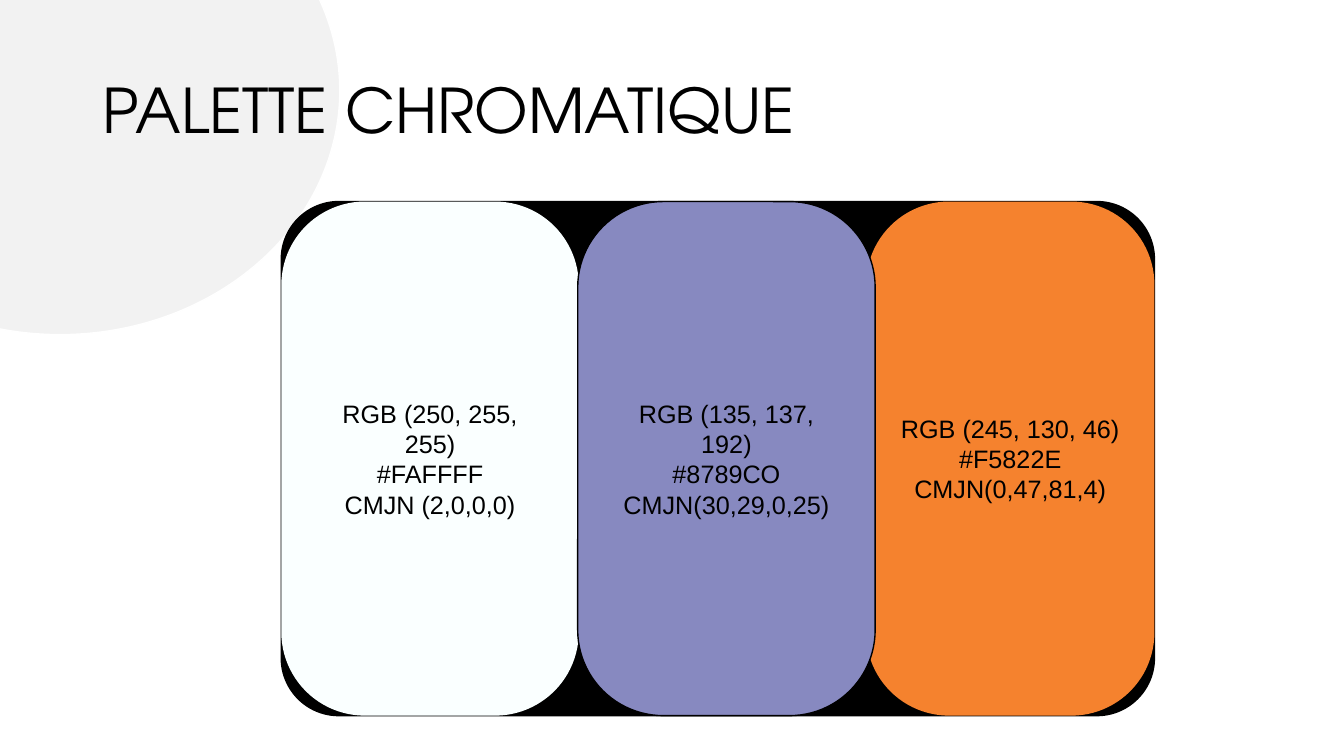
from pptx import Presentation
from pptx.dml.color import RGBColor
from pptx.enum.shapes import MSO_SHAPE
from pptx.enum.text import MSO_ANCHOR, PP_ALIGN
from pptx.util import Inches, Pt

ELLIPSE = MSO_SHAPE.OVAL
ROUNDED = MSO_SHAPE.ROUNDED_RECTANGLE
MIDDLE = MSO_ANCHOR.MIDDLE
CENTER = PP_ALIGN.CENTER

BLACK = "000000"
WHITE = "FFFFFF"
PALE_GREY = "F2F2F2"
CARD_TOP = 2
CARD_HEIGHT = 5.1

# left, width, corner ratio, fill, outline, lines; the middle card lies on top
SWATCHES = [
    (2.79, 2.95, 0.281, "FAFFFF", None,
     ["RGB (250, 255, 255)", "#FAFFFF", "CMJN (2,0,0,0)"]),
    (8.59, 2.86, 0.288, "F5822E", None,
     ["RGB (245, 130, 46)", "#F5822E", "CMJN(0,47,81,4)"]),
    (5.73, 2.95, 0.288, "8789C0", BLACK,
     ["RGB (135, 137, 192)", "#8789CO", "CMJN(30,29,0,25)"]),
]


def rgb(hex_color):
    return RGBColor.from_string(hex_color)


def add_panel(slide, preset, box, fill, outline=None):
    panel = slide.shapes.add_shape(preset, *map(Inches, box))
    panel.shadow.inherit = False
    panel.fill.solid()
    panel.fill.fore_color.rgb = rgb(fill)
    if outline:
        panel.line.color.rgb = rgb(outline)
        panel.line.width = Pt(1)
    else:
        panel.line.fill.background()
    return panel


def add_rounded_card(slide, left, width, corner, fill, outline=None):
    box = (left, CARD_TOP, width, CARD_HEIGHT)
    card = add_panel(slide, ROUNDED, box, fill, outline)
    card.adjustments[0] = corner
    return card


def write_lines(frame, lines, font_name, size):
    frame.word_wrap = True
    frame.vertical_anchor = MIDDLE
    frame.text = "\n".join(lines)
    for paragraph in frame.paragraphs:
        paragraph.font.name = font_name
        paragraph.font.size = Pt(size)
        paragraph.font.color.rgb = rgb(BLACK)


def add_title(slide, title):
    box = slide.shapes.add_textbox(*map(Inches, (0.92, 0.4, 11.5, 1.45)))
    write_lines(box.text_frame, [title], "TeX Gyre Adventor", 44)
    box.text_frame.paragraphs[0].line_spacing = 0.9


def add_swatch(slide, left, width, corner, fill, outline, lines):
    """Add a colour card labelled with its colour codes."""
    swatch = add_rounded_card(slide, left, width, corner, fill, outline)
    write_lines(swatch.text_frame, lines, "Arial", 18)
    for paragraph in swatch.text_frame.paragraphs:
        paragraph.alignment = CENTER


def main():
    presentation = Presentation()
    presentation.slide_width = Inches(13.33)
    presentation.slide_height = Inches(7.5)
    slide = presentation.slides.add_slide(presentation.slide_layouts[6])

    add_panel(slide, ELLIPSE, (-2.18, -1.52, 5.55, 4.84), PALE_GREY, WHITE)
    add_title(slide, "PALETTE CHROMATIQUE")
    add_rounded_card(slide, 2.79, 8.66, 0.112, BLACK, BLACK)
    for swatch in SWATCHES:
        add_swatch(slide, *swatch)

    presentation.save("out.pptx")


if __name__ == "__main__":
    main()
